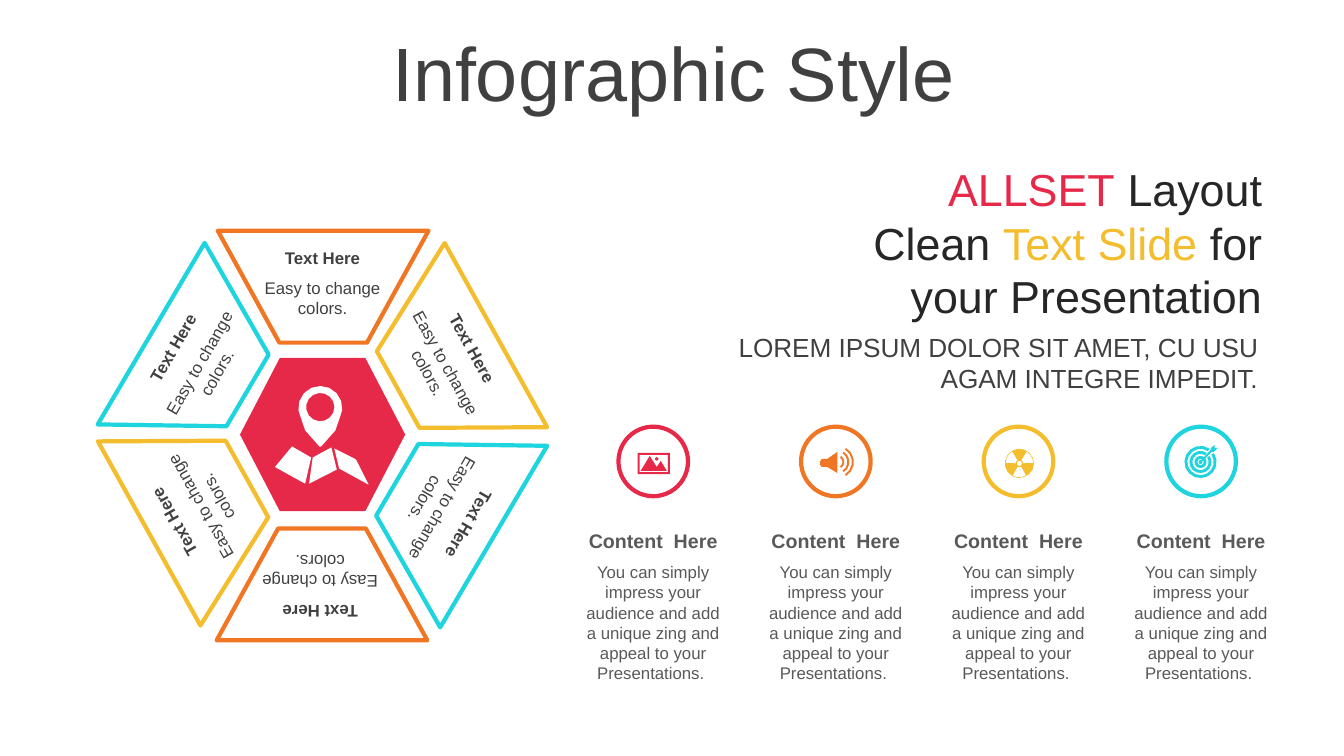
from math import cos, radians, sin
from typing import NamedTuple

from pptx import Presentation
from pptx.dml.color import RGBColor
from pptx.enum.shapes import MSO_SHAPE
from pptx.enum.text import MSO_ANCHOR, MSO_AUTO_SIZE, PP_ALIGN
from pptx.util import Pt

HEXAGON, WEDGE, CIRCLE = MSO_SHAPE.HEXAGON, MSO_SHAPE.TRAPEZOID, MSO_SHAPE.OVAL
CENTER, RIGHT = PP_ALIGN.CENTER, PP_ALIGN.RIGHT
TOP, MIDDLE = MSO_ANCHOR.TOP, MSO_ANCHOR.MIDDLE
GROW = MSO_AUTO_SIZE.SHAPE_TO_FIT_TEXT
FIXED = MSO_AUTO_SIZE.NONE

RED, ORANGE, GOLD, CYAN = "E62949", "F07624", "F4BD2D", "1ED4DE"
WHITE, DARK, GRAY, BLACK = "FFFFFF", "404040", "595959", "262626"

Point = tuple[float, float]
Outline = list[Point]
Run = tuple[str, str]


class Panel(NamedTuple):
    """A wedge of the ring: its centre and turn, then those of its text."""
    mid: Point
    turn: float
    text: Point
    tilt: float
    color: str
    slant: float = 0.55


class Topic(NamedTuple):
    color: str
    icon: list[Outline]


def tint(color, code: str) -> None:
    color.rgb = RGBColor.from_string(code)


def paint(shape, fill: str, line: str | None = None) -> None:
    shape.shadow.inherit = False
    shape.fill.solid()
    tint(shape.fill.fore_color, fill)
    if line:
        tint(shape.line.color, line)
        shape.line.width = Pt(3)
    else:
        shape.line.fill.background()


def add_form(kind, mid: Point, size: Point, fill: str, line: str | None = None,
             turn: float = 0, adjust: float | None = None) -> None:
    (x, y), (w, h) = mid, size
    shape = shapes.add_shape(kind, Pt(x - w / 2), Pt(y - h / 2), Pt(w), Pt(h))
    shape.rotation = turn
    if adjust is not None:
        shape.adjustments[0] = adjust
    paint(shape, fill, line)


def add_text(paras: str | list[list[Run]], mid: Point, size: Point, *,
             points: float = 12, color: str = DARK, bold: bool = False,
             align=CENTER, anchor=TOP, turn: float = 0, fit=GROW,
             leading: float | None = None) -> None:
    """Add a box from plain text, or from paragraphs of coloured runs."""
    (x, y), (w, h) = mid, size
    box = shapes.add_textbox(Pt(x - w / 2), Pt(y - h / 2), Pt(w), Pt(h))
    box.rotation = turn
    frame = box.text_frame
    frame.word_wrap = True
    frame.auto_size = fit
    frame.vertical_anchor = anchor
    if isinstance(paras, str):
        paras = [[(paras, color)]]
    for i, runs in enumerate(paras):
        para = frame.add_paragraph() if i else frame.paragraphs[0]
        para.alignment = align
        if leading:
            para.line_spacing = leading
        for words, code in runs:
            run = para.add_run()
            run.text = words
            run.font.name = "Arial"
            run.font.size = Pt(points)
            run.font.bold = bold
            tint(run.font.color, code)


def arc(x: float, y: float, r: float, start: float = 0, end: float = 360) -> Outline:
    steps = max(3, round(abs(end - start) / 24))
    angles = [radians(start + (end - start) * i / steps) for i in range(steps + 1)]
    return [(x + r * cos(a), y + r * sin(a)) for a in angles]


def band(x: float, y: float, inner: float, outer: float,
         start: float, end: float) -> Outline:
    return arc(x, y, outer, start, end) + arc(x, y, inner, end, start)


def box(x1: float, y1: float, x2: float, y2: float) -> Outline:
    return [(x1, y1), (x2, y1), (x2, y2), (x1, y2)]


def draw_icon(outlines: list[Outline], mid: Point, color: str) -> None:
    """Draw outlines, given relative to mid, as one filled shape."""
    pen = None
    for outline in outlines:
        first, *rest = [(Pt(mid[0] + x), Pt(mid[1] + y)) for x, y in outline]
        if pen is None:
            pen = shapes.build_freeform(*first, scale=1.0)
        else:
            pen.move_to(*first)
        pen.add_line_segments(rest, close=True)
    paint(pen.convert_to_shape(), color)


PHOTO = [
    box(-11.2, -6.1, 11.9, 9), box(-9.7, -4.7, 10.4, 7.6),
    [(-9, 6.8), (-2.5, -4), (2.5, 4), (5.4, -0.4), (9.7, 6.8)],
    arc(2.5, -1.8, 1.2),
]
SPEAKER = [
    [(1.1, -6.8), (1.1, 8.3), (-6.1, 4), (-10, 4), (-11.2, 2.5),
     (-11.2, 0), (-10, -1.8), (-6.1, -1.8)],
    *[band(1.1, 0.4, r, r + 1.4, -58, 58) for r in (3.6, 7.2, 10.4)],
]
HAZARD = [
    arc(0.7, 1.4, 10.4), arc(0.7, 1.4, 1.8),
    *[band(0.7, 1.4, 2.6, 9.9, a - 29, a + 29) for a in (-30, 90, 210)],
]
TARGET = [
    *[band(-0.4, 0.4, r, r + 2.1, -34, 304) for r in (2.2, 5.8, 9.4)],
    arc(-0.4, 0.4, 1.4),
    [(9.7, -11.9), (9.7, -9.7), (11.9, -9.7), (9, -6.8), (7.6, -6.8),
     (1, -0.2), (0.2, -1), (6.8, -8.3), (6.8, -9.4)],
]
PIN = [
    arc(0, 0.6, 15.7, 150, 390) + [(10.8, 16.6), (0.5, 28.3), (-0.5, 28.3), (-10.8, 16.6)],
    arc(0, 0, 10.1),
]
MAP = [
    [(10, 29.5), (24.4, 36.7), (25.9, 38.1), (34.5, 55.4), (13.5, 43.9)],
    [(7.9, 28.8), (11.8, 44.6), (-8, 54.7), (-5.4, 36)],
    [(-20.2, 28.1), (-6.5, 36), (-10.8, 54.7), (-32.4, 42.8)],
]

PANELS = [
    Panel((230.8, 204.8), 180, (230.4, 213), 0, ORANGE),
    Panel((319.3, 258.8), 240.9, (312.1, 262.8), 61, GOLD),
    Panel((318.2, 363), 300.5, (310, 360), 120, CYAN, 0.57),
    Panel((230, 417.4), 0, (228.6, 408.4), 180, ORANGE),
    Panel((141.5, 361.6), 60.9, (149.4, 358.6), 240.4, GOLD),
    Panel((142.4, 258.6), 120.5, (148.6, 262.8), 299.9, CYAN, 0.57),
]
TOPICS = [Topic(RED, PHOTO), Topic(ORANGE, SPEAKER),
          Topic(GOLD, HAZARD), Topic(CYAN, TARGET)]
LEFT, STEP, ROW = 466.6, 130.45, 329.6
RISE = 28.8
PIN_MID = (228.8, 290.8)

deck = Presentation()
deck.slide_width, deck.slide_height = Pt(960), Pt(540)
shapes = deck.slides.add_slide(deck.slide_layouts[6]).shapes

add_text("Infographic Style", (481.2, 55), (911.5, 57), points=54,
         anchor=MIDDLE, leading=0.9, fit=FIXED)

add_form(HEXAGON, (230.4, 310.4), (118, 109.4), RED, adjust=0.26)
for panel in PANELS:
    add_form(WEDGE, panel.mid, (150.5, 79.9), WHITE, panel.color,
             panel.turn, panel.slant)
for panel in PANELS:
    x, y = panel.text
    lean = radians(panel.tilt)
    add_text("Easy to change colors.", (x, y), (111.6, 36.4), turn=panel.tilt)
    add_text("Text Here", (x + RISE * sin(lean), y - RISE * cos(lean)),
             (110.9, 21.8), bold=True, turn=panel.tilt)

for i, topic in enumerate(TOPICS):
    x = LEFT + i * STEP
    add_text("You can simply impress your audience and add a unique zing "
             "and appeal to your Presentations. ", (x, 445), (113, 94.3), color=GRAY)
    add_text("Content  Here", (x, 386.6), (114.5, 24.5), points=14,
             color=GRAY, bold=True)
    add_form(CIRCLE, (x, ROW), (49.7, 49.7), WHITE, topic.color)
    draw_icon(topic.icon, (x, ROW), topic.color)

add_text("LOREM IPSUM DOLOR SIT AMET, CU USU AGAM INTEGRE IMPEDIT.",
         (698, 258.8), (414.7, 52.6), points=18.67, align=RIGHT, anchor=MIDDLE)
add_text([[("ALLSET", RED), (" Layout", BLACK)],
          [("Clean ", BLACK), ("Text Slide ", GOLD), ("for your Presentation", BLACK)]],
         (740.6, 173), (336.2, 123.8), points=32, align=RIGHT, anchor=MIDDLE)

draw_icon(PIN, PIN_MID, WHITE)
draw_icon(MAP, PIN_MID, WHITE)

deck.save("out.pptx")
